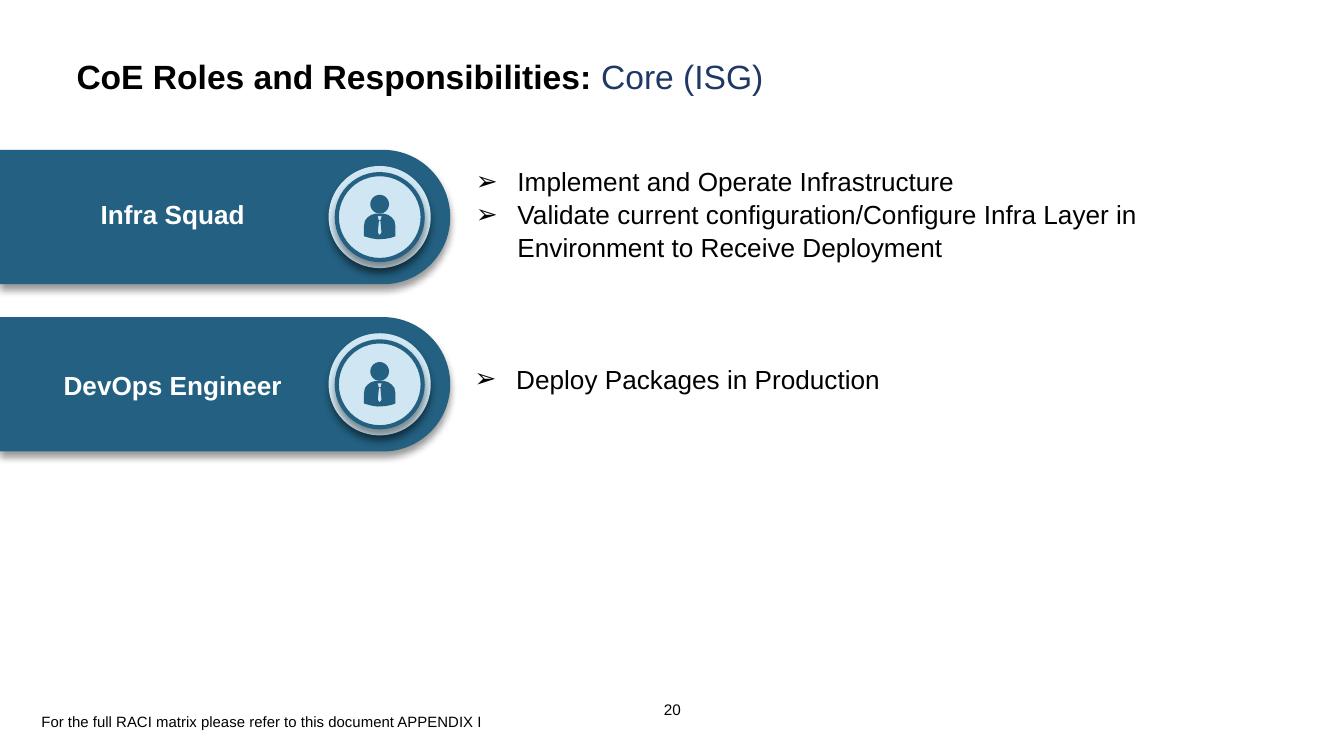
"""Build the slide on the core roles and responsibilities of the CoE."""
import math
from dataclasses import dataclass

import lxml.etree
import pptx
import pptx.dml.color
import pptx.enum.shapes
import pptx.enum.text
import pptx.oxml.ns
import pptx.shapes.base
import pptx.shapes.group
import pptx.text.text
import pptx.util

Pt = pptx.util.Pt
qn = pptx.oxml.ns.qn
SubElement = lxml.etree.SubElement
Preset = pptx.enum.shapes.MSO_SHAPE
Align = pptx.enum.text.PP_ALIGN
Anchor = pptx.enum.text.MSO_ANCHOR
AutoSize = pptx.enum.text.MSO_AUTO_SIZE

Point = tuple[float, float]

COLORS = {
    "banner": "236081",
    "badge": "D0E6F2",
    "accent": "203864",
    "text": "000000",
    "label": "FFFFFF",
}
FONT = "Arial"
BANNER_LENGTH, BANNER_HEIGHT = 241.2, 72
FIRST_CENTER, ROW_PITCH = 116.3, 89.6
BADGE_X = 203.4
BULLET_INDENT = 22.3


@dataclass
class Frame:
    left: float
    top: float
    width: float
    height: float


@dataclass
class Role:
    name: str
    label: Frame
    duties: list[str]
    duty_frame: Frame


ROLES = [
    Role(
        "Infra Squad",
        Frame(9.4, 103, 166.3, 24.5),
        [
            "Implement and Operate Infrastructure",
            "Validate current configuration/Configure Infra Layer in "
            "Environment to Receive Deployment",
        ],
        Frame(247.7, 84.2, 447.8, 58.3),
    ),
    Role(
        "DevOps Engineer",
        Frame(5.8, 194.4, 173.5, 24.5),
        ["Deploy Packages in Production"],
        Frame(247, 190.1, 447.8, 24.5),
    ),
]

HEAD = [
    (5 * math.cos(math.tau * step / 36), 5 * math.sin(math.tau * step / 36) - 6.9)
    for step in range(36)
]
SHOULDER = [(2.2, -1.8), (4.5, -1.2), (6.5, 0.2), (7.9, 2), (8.4, 4.7)]
HEM = [(8.4, 10.3), (6.5, 11), (3, 11.7), (-1, 11.9), (-4.5, 11.4), (-8.4, 10.3)]
TORSO = SHOULDER + HEM + [(-x, y) for x, y in reversed(SHOULDER)]
TIE_KNOT = [(-1.1, -0.5), (-0.5, 1.6), (0.5, 1.6), (1.1, -0.5)]
TIE_BLADE = [(-0.4, 1.9), (-1, 8.3), (0, 9.7), (1, 8.3), (0.4, 1.9)]


def rgb(name: str) -> pptx.dml.color.RGBColor:
    """Return a named colour."""
    return pptx.dml.color.RGBColor.from_string(COLORS[name])


def place(shape: pptx.shapes.base.BaseShape, frame: Frame) -> None:
    """Move and size a shape."""
    shape.left, shape.top = Pt(frame.left), Pt(frame.top)
    shape.width, shape.height = Pt(frame.width), Pt(frame.height)


def add_run(para: pptx.text.text._Paragraph, text: str, size: float,
            color: str = "text", bold: bool = False) -> None:
    """Append one formatted run."""
    run = para.add_run()
    run.text = text
    run.font.name, run.font.size, run.font.bold = FONT, Pt(size), bold
    run.font.color.rgb = rgb(color)


def add_label(shapes, frame: Frame, text: str, size: float, color: str = "text",
              bold: bool = False, align: Align = Align.LEFT):
    """Add a text box with a single run and return it."""
    box = shapes.add_textbox(
        Pt(frame.left), Pt(frame.top), Pt(frame.width), Pt(frame.height))
    box.text_frame.word_wrap = True
    para = box.text_frame.paragraphs[0]
    para.alignment = align
    add_run(para, text, size, color, bold)
    return box


def fill_duties(body, role: Role) -> None:
    """Fill a body placeholder with the arrow-bulleted duties of a role."""
    place(body, role.duty_frame)
    body.text_frame.auto_size = AutoSize.NONE
    body.text_frame.vertical_anchor = Anchor.TOP
    for index, duty in enumerate(role.duties):
        para = body.text_frame.add_paragraph() if index else body.text_frame.paragraphs[0]
        para.space_before, para.line_spacing = Pt(0), 1.05
        add_run(para, duty, 14)
        properties = para._p.get_or_add_pPr()
        properties.set("marL", str(Pt(BULLET_INDENT)))
        properties.set("indent", str(-Pt(BULLET_INDENT)))
        bullet_color = SubElement(properties, qn("a:buClr"))
        SubElement(bullet_color, qn("a:srgbClr"), val=COLORS["text"])
        SubElement(properties, qn("a:buFont"), typeface=FONT)
        SubElement(properties, qn("a:buChar"), char="➢")


def add_raised(group: pptx.shapes.group.GroupShape, preset: Preset, center: Point,
               width: float, height: float, color: str):
    """Add a quarter-turned shape that casts a soft shadow downwards."""
    x, y = center
    shape = group.shapes.add_shape(
        preset, Pt(x - width / 2), Pt(y - height / 2), Pt(width), Pt(height))
    shape.rotation = 90
    shape.fill.solid()
    shape.fill.fore_color.rgb = rgb(color)
    shape.line.fill.background()
    shape.shadow.inherit = False
    effects = shape.element.spPr.find(qn("a:effectLst"))
    shadow = SubElement(effects, qn("a:outerShdw"), blurRad=str(Pt(4)),
                        dist=str(Pt(3)), dir="5400000", algn="t", rotWithShape="0")
    shade = SubElement(shadow, qn("a:srgbClr"), val=COLORS["text"])
    SubElement(shade, qn("a:alpha"), val="40000")
    return shape


def add_outline(group: pptx.shapes.group.GroupShape, center: Point,
                contours: list[list[Point]]) -> None:
    """Add a filled freeform from contours given around a centre."""
    x, y = center
    placed = [[(Pt(x + dx), Pt(y + dy)) for dx, dy in contour] for contour in contours]
    builder = group.shapes.build_freeform(*placed[0][0])
    for index, contour in enumerate(placed):
        if index:
            builder.move_to(*contour[0])
        builder.add_line_segments(contour[1:], close=True)
    shape = builder.convert_to_shape()
    shape.fill.solid()
    shape.fill.fore_color.rgb = rgb("banner")
    shape.line.fill.background()
    shape.shadow.inherit = False


def add_banner(shapes, role: Role, center_y: float) -> None:
    """Add the banner of a role with its person badge and name."""
    group = shapes.add_group_shape()
    badge = (BADGE_X, center_y)
    banner = add_raised(group, Preset.ROUND_2_SAME_RECTANGLE,
                        (BANNER_LENGTH / 2, center_y), BANNER_HEIGHT, BANNER_LENGTH, "banner")
    banner.adjustments[0], banner.adjustments[1] = 0.5, 0
    add_raised(group, Preset.OVAL, badge, 54.7, 54.7, "badge")
    ring = add_raised(group, Preset.OVAL, badge, 46, 46, "badge")
    ring.line.color.rgb, ring.line.width = rgb("banner"), Pt(2.25)
    add_outline(group, badge, [HEAD])
    add_outline(group, badge, [TORSO, TIE_KNOT, TIE_BLADE])
    add_label(group.shapes, role.label, role.name, 14, "label", True, Align.CENTER)


def main() -> None:
    """Build and save the deck."""
    deck = pptx.Presentation()
    deck.slide_width, deck.slide_height = Pt(720), Pt(405)
    page = deck.slides.add_slide(deck.slide_layouts.get_by_name("Two Content"))
    title, *bodies = page.placeholders

    place(title, Frame(33.8, 23, 650.2, 36))
    frame = title.text_frame
    frame.auto_size, frame.vertical_anchor = AutoSize.NONE, Anchor.MIDDLE
    frame.paragraphs[0].alignment = Align.LEFT
    add_run(frame.paragraphs[0], "CoE Roles and Responsibilities: ", 18, bold=True)
    add_run(frame.paragraphs[0], "Core (ISG)", 18, "accent")

    for index, (role, body) in enumerate(zip(ROLES, bodies)):
        fill_duties(body, role)
        add_banner(page.shapes, role, FIRST_CENTER + index * ROW_PITCH)

    add_label(page.shapes, Frame(15.1, 378, 278.6, 17.3),
              "For the full RACI matrix please refer to this document APPENDIX I", 8)
    number = add_label(page.shapes, Frame(355.7, 375.1, 14.4, 10.1), "20", 8.2).text_frame
    number.word_wrap = False
    number.margin_left = number.margin_right = number.margin_top = number.margin_bottom = 0
    deck.save("out.pptx")


if __name__ == "__main__":
    main()
